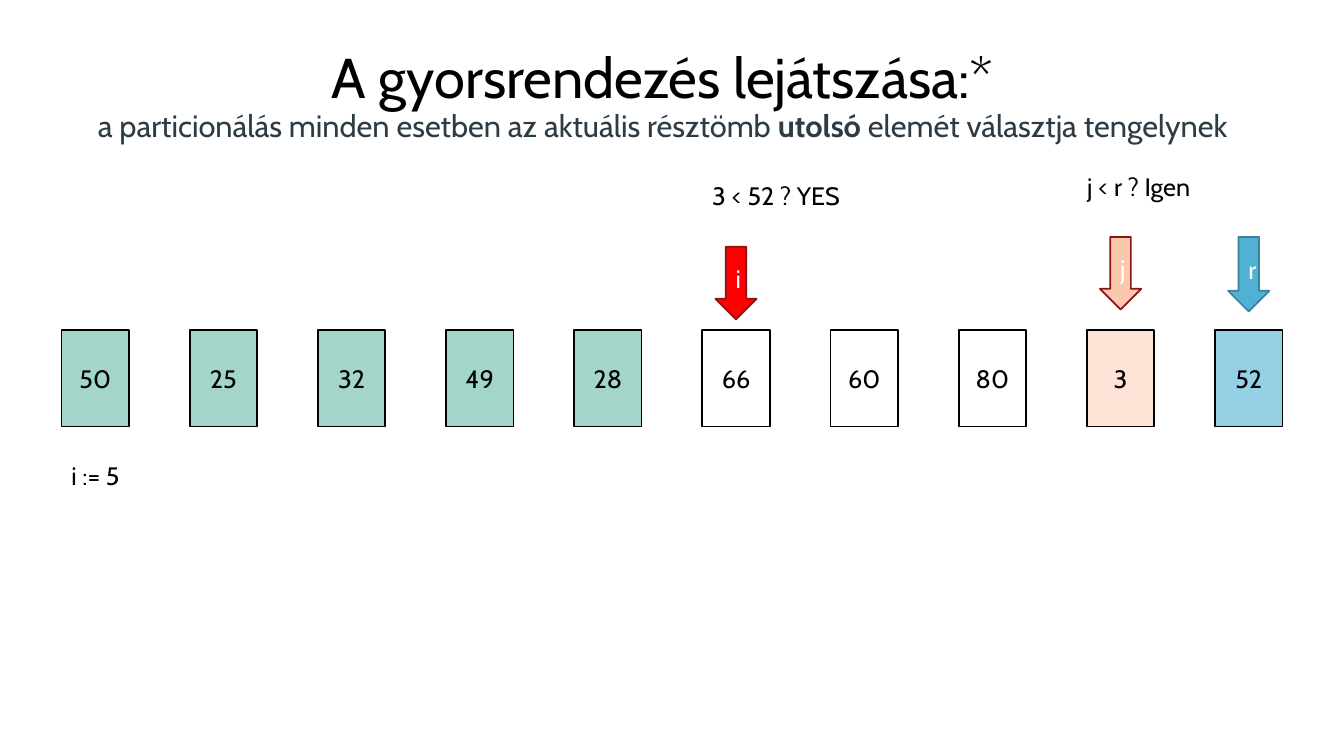
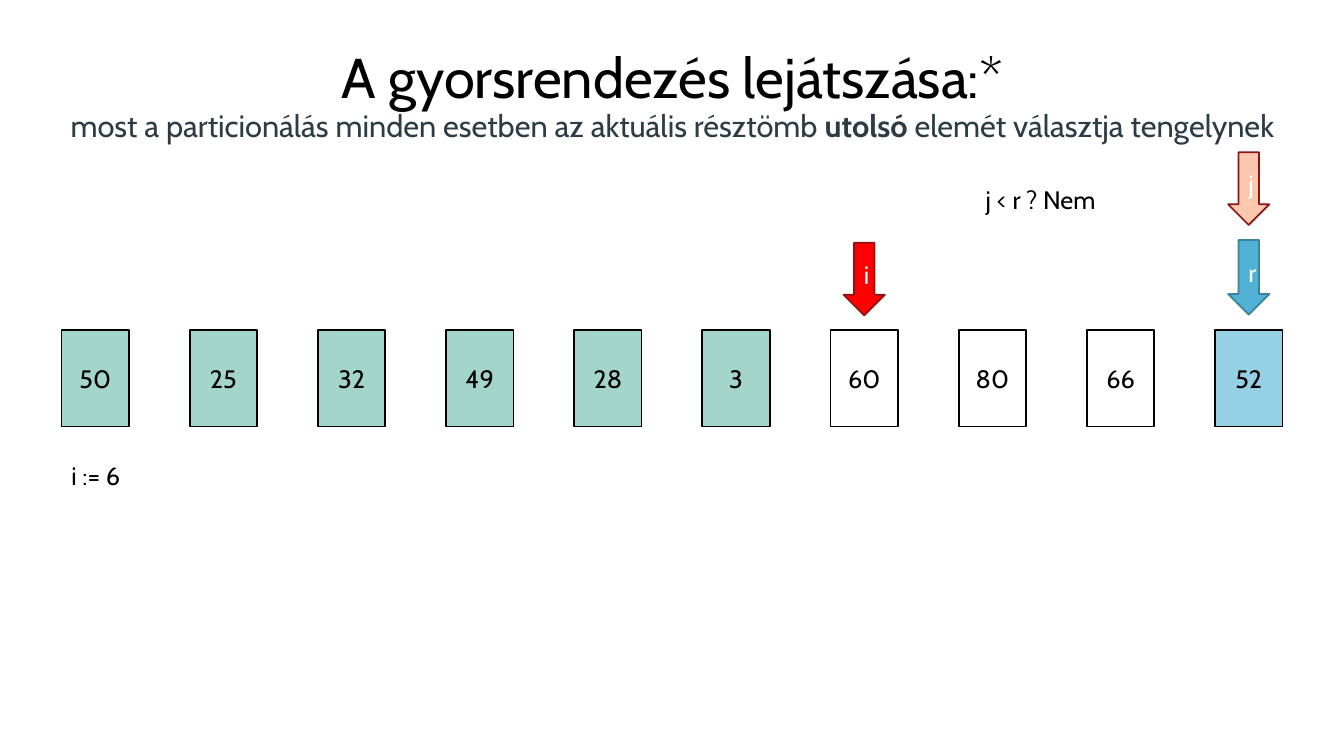
from pptx import Presentation
from pptx.dml.color import RGBColor
from pptx.enum.shapes import MSO_SHAPE as Shape
from pptx.enum.text import MSO_ANCHOR as Anchor, MSO_AUTO_SIZE as AutoSize, PP_ALIGN as Align
from pptx.util import Cm, Pt

FONT = "Cabin"
COLORS = {
    "black": "000000",
    "white": "FFFFFF",
    "subtitle": "2D3B45",
    "smaller": "A4D5CA",
    "current": "FDE3D6",
    "pivot": "96D0E5",
    "i": "FF0000",
    "j": "FBC8AE",
    "r": "50B1D4",
    "red edge": "8B1515",
    "blue edge": "3B839D",
}
CELL_LEFT, CELL_TOP, CELL_WIDTH, CELL_HEIGHT, CELL_PITCH = 1.55, 8.31, 1.7, 2.44, 3.23
ARROW_WIDTH = 1.04
ARROW_STYLES = {"r": (1.88, "blue edge"), "i": (1.83, "red edge"), "j": (1.83, "red edge")}

# Cells before index i are smaller than the pivot, which is the last cell.
# Arrows: letter -> (cell index, top); notes: (text, left, top, width).
STEPS = [
    {
        "title_left": 1.6, "title_width": 30.2,
        "subtitle": "a particionálás minden esetben az aktuális résztömb ",
        "values": [50, 25, 32, 49, 28, 66, 60, 80, 3, 52],
        "arrows": {"r": (9, 5.97), "i": (5, 6.22), "j": (8, 5.97)},
        "notes": [("i := 5", 1.55, 11.48, 4.09),
                  ("3 < 52 ? YES", 17.7, 4.42, 5.74),
                  ("j < r ? Igen", 27.15, 4.19, 3.66)],
    },
    {
        "title_left": 1.12, "title_width": 31.65,
        "subtitle": "most a particionálás minden esetben az aktuális résztömb ",
        "values": [50, 25, 32, 49, 28, 3, 60, 80, 66, 52],
        "arrows": {"r": (9, 6.05), "i": (6, 6.12), "j": (9, 3.84)},
        "notes": [("i := 6", 1.55, 11.48, 4.09),
                  ("j < r ? Nem", 24.59, 4.52, 3.66)],
    },
]


def write(paragraph, text, size=18, color="black", bold=False, align=Align.LEFT):
    """Append a formatted run to the paragraph."""
    paragraph.alignment = align
    run = paragraph.add_run()
    run.text = text
    run.font.name = FONT
    run.font.size = Pt(size)
    run.font.bold = bold
    run.font.color.rgb = RGBColor.from_string(COLORS[color])


def add_block(slide, kind, box, text, fill, edge="black", color="black"):
    """Add a filled, outlined shape with centred text; box is in centimetres."""
    block = slide.shapes.add_shape(kind, *map(Cm, box))
    block.shadow.inherit = False
    block.fill.solid()
    block.fill.fore_color.rgb = RGBColor.from_string(COLORS[fill])
    block.line.color.rgb = RGBColor.from_string(COLORS[edge])
    block.line.width = Pt(1.25)
    block.text_frame.vertical_anchor = Anchor.MIDDLE
    write(block.text_frame.paragraphs[0], text, color=color, align=Align.CENTER)


prs = Presentation()
prs.slide_width, prs.slide_height = Cm(33.87), Cm(19.05)
title_only = prs.slide_layouts[5]

for step in STEPS:
    slide = prs.slides.add_slide(title_only)

    title = slide.shapes.title
    title.left, title.top = Cm(step["title_left"]), Cm(0.46)
    title.width, title.height = Cm(step["title_width"]), Cm(3.96)
    title.text_frame.auto_size = AutoSize.NONE
    title.text_frame.vertical_anchor = Anchor.MIDDLE
    heading = title.text_frame.paragraphs[0]
    heading.line_spacing = 0.9
    write(heading, "A gyorsrendezés lejátszása:*", size=40, align=Align.CENTER)
    heading.add_line_break()
    for part, bold in [(step["subtitle"], False), ("utolsó", True),
                       (" elemét választja tengelynek", False)]:
        write(heading, part, size=22, color="subtitle", bold=bold, align=Align.CENTER)

    arrows = step["arrows"]
    for index, value in enumerate(step["values"]):
        if index == arrows["r"][0]:
            fill = "pivot"
        elif index == arrows["j"][0]:
            fill = "current"
        elif index < arrows["i"][0]:
            fill = "smaller"
        else:
            fill = "white"
        cell_box = (CELL_LEFT + index * CELL_PITCH, CELL_TOP, CELL_WIDTH, CELL_HEIGHT)
        add_block(slide, Shape.RECTANGLE, cell_box, str(value), fill)

    for letter, (index, top) in arrows.items():
        height, edge = ARROW_STYLES[letter]
        left = CELL_LEFT + index * CELL_PITCH + (CELL_WIDTH - ARROW_WIDTH) / 2
        add_block(slide, Shape.DOWN_ARROW, (left, top, ARROW_WIDTH, height), letter,
                  letter, edge=edge, color="white")

    for text, left, top, width in step["notes"]:
        note = slide.shapes.add_textbox(Cm(left), Cm(top), Cm(width), Cm(1.02)).text_frame
        note.word_wrap = True
        note.auto_size = AutoSize.SHAPE_TO_FIT_TEXT
        write(note.paragraphs[0], text)

prs.save("out.pptx")
